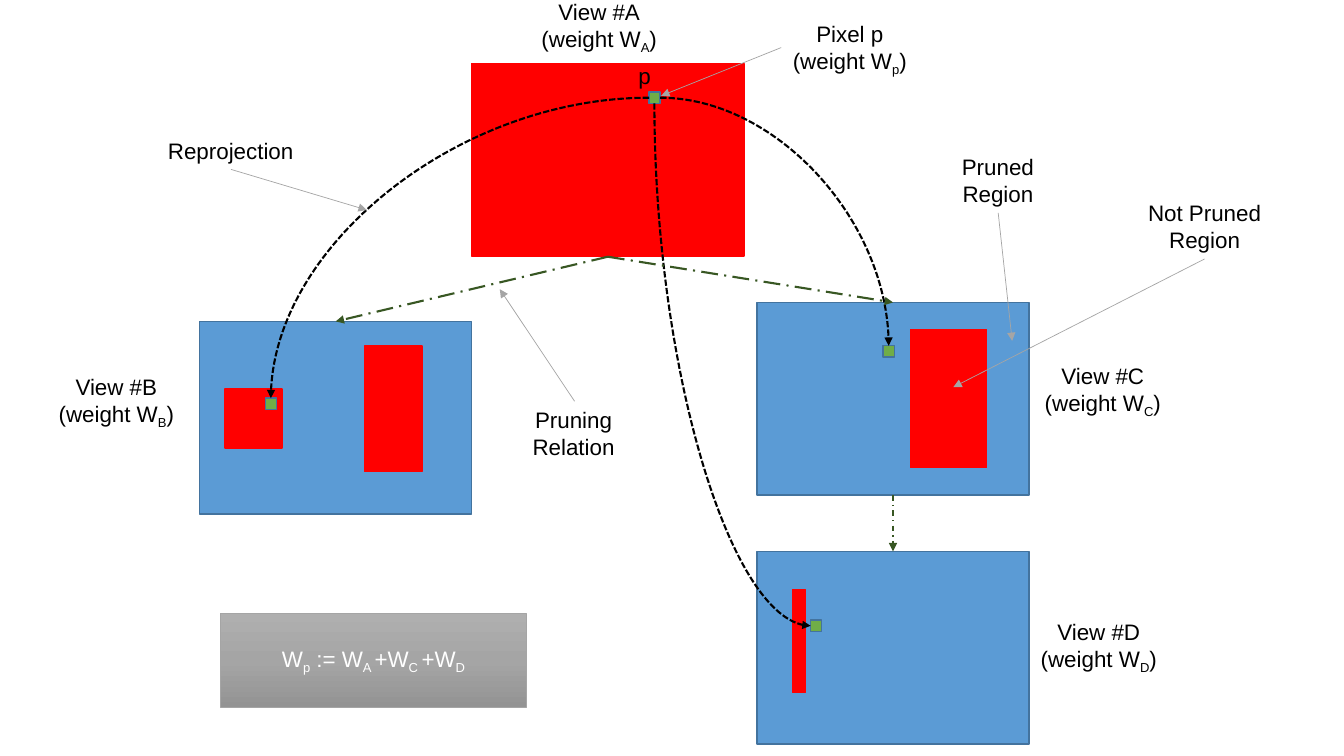
from copy import deepcopy
from lxml import etree
from pptx import Presentation
from pptx.dml.color import RGBColor
from pptx.enum.dml import MSO_LINE
from pptx.enum.shapes import MSO_CONNECTOR, MSO_SHAPE
from pptx.enum.text import MSO_ANCHOR, MSO_AUTO_SIZE, PP_ALIGN
from pptx.oxml.ns import qn
from pptx.util import Pt

RECTANGLE = MSO_SHAPE.RECTANGLE
STRAIGHT, CURVE = MSO_CONNECTOR.STRAIGHT, MSO_CONNECTOR.CURVE
SHORT_DASH, DASH_DOT, LONG_DASH_DOT = MSO_LINE.SQUARE_DOT, MSO_LINE.DASH_DOT, MSO_LINE.LONG_DASH_DOT
CENTER, MIDDLE, FIT_SHAPE = PP_ALIGN.CENTER, MSO_ANCHOR.MIDDLE, MSO_AUTO_SIZE.SHAPE_TO_FIT_TEXT

COLORS = {name: RGBColor.from_string(value) for name, value in {
    "kept": "FF0000", "pruned": "5B9BD5", "edge": "43739E", "pixel": "70AD47",
    "black": "000000", "white": "FFFFFF", "gray": "A5A5A5", "relation": "385723",
    "gray top": "AFAFAF", "gray bottom": "939393"}.items()}

deck = Presentation()
deck.slide_width, deck.slide_height = Pt(960), Pt(540)
page = deck.slides.add_slide(deck.slide_layouts[6])


def write(frame, lines, color):
    frame.text = "\n".join(lines).replace("_", "")
    for para, line in zip(frame.paragraphs, lines):
        para.text = ""
        para.alignment = CENTER
        for index, part in enumerate(line.split("_")):
            if part:
                span = para.add_run()
                span.text = part
                span.font.name, span.font.size = "Arial", Pt(16)
                span.font.color.rgb = COLORS[color]
                if index % 2:
                    span.font._element.set("baseline", "-25000")


def connect(kind, start, end, color, width, dash=None):
    line = page.shapes.add_connector(kind, *map(Pt, start + end))
    line.line.color.rgb = COLORS[color]
    line.line.width = Pt(width)
    if dash:
        line.line.dash_style = dash
    properties = line._element.spPr
    etree.SubElement(properties.find(qn("a:ln")), qn("a:tailEnd"), type="triangle")
    etree.SubElement(properties, qn("a:effectLst"))
    return line


VIEW_WIDTH, VIEW_HEIGHT, PIXEL = 194.4, 137.6, 8
views = [(337, 45.4, "kept"), (142.6, 229.6, "pruned"), (540.7, 216, "pruned"), (540.7, 393.8, "pruned")]
kept_regions = [(160.6, 278, 41, 42), (260.6, 247, 41, 90), (650.2, 235.5, 54.7, 98.6), (566, 421.2, 9.4, 73.4)]
pixels = [(467.6, 69.8), (634.8, 251), (583, 447), (193.5, 288.4)]

boxes = [(left, top, VIEW_WIDTH, VIEW_HEIGHT, fill) for left, top, fill in views]
boxes += [region + ("kept",) for region in kept_regions]
boxes += [(x - PIXEL / 2, y - PIXEL / 2, PIXEL, PIXEL, "pixel") for x, y in pixels]
for *area, fill in boxes:
    box = page.shapes.add_shape(RECTANGLE, *map(Pt, area))
    box.shadow.inherit = False
    box.fill.solid()
    box.fill.fore_color.rgb = COLORS[fill]
    box.line.color.rgb = COLORS["kept" if fill == "kept" else "edge"]
    box.line.width = Pt(1)

reprojections = [
    ((463.6, 69.8), (193.5, 284.4), 0),
    ((471.6, 69.8), (634.8, 247), 0),
    ((709.8, 204.6), (336.6, 316.2), 270),
]
for start, end, angle in reprojections:
    curve = connect(CURVE, start, end, "black", 1.5, SHORT_DASH)
    properties = curve._element.spPr
    properties.find(qn("a:prstGeom")).set("prst", "curvedConnector2")
    if angle:
        properties.find(qn("a:xfrm")).set("rot", str(angle * 60000))

root = (434.2, 183.4)
relations = [
    (root, (637.9, 216), 1.5, LONG_DASH_DOT),
    (root, (239.8, 229.6), 1.5, LONG_DASH_DOT),
    ((637.9, 353.6), (637.9, 393.8), 1, DASH_DOT),
]
for start, end, width, dash in relations:
    connect(STRAIGHT, start, end, "relation", width, dash)

pointers = [
    ((713, 152), (723, 243.5)),
    ((860.4, 185), (681, 276.5)),
    ((410.4, 286.6), (357, 206.6)),
    ((165, 121), (262, 150)),
    ((558, 34), (472.3, 68.4)),
]
for start, end in pointers:
    connect(STRAIGHT, start, end, "gray", 0.5)

labels = [
    (812.2, 139, 96.5, 46, ["Not Pruned", "Region"]),
    (679.7, 105.8, 66.2, 46, ["Pruned", "Region"]),
    (373, 286.6, 73.4, 46, ["Pruning", "Relation"]),
    (112.3, 94.3, 105, 26.6, ["Reprojection"]),
    (738, 254.9, 99.4, 46, ["View #C", "(weight W_C_)"]),
    (378.7, -5, 98.6, 46, ["View #A", "(weight W_A_)"]),
    (33.8, 262.8, 98.6, 46, ["View #B", "(weight W_B_)"]),
    (735.1, 437.8, 99.4, 46, ["View #D", "(weight W_D_)"]),
    (448.6, 41, 23.8, 26.6, ["p"]),
    (558, 10.8, 98, 46, ["Pixel p", "(weight W_p_)"]),
]
for *area, lines in labels:
    label = page.shapes.add_textbox(*map(Pt, area))
    write(label.text_frame, lines, "black")
    label.text_frame.word_wrap = False
    label.text_frame.auto_size = FIT_SHAPE

formula = page.shapes.add_shape(RECTANGLE, Pt(157.7), Pt(437.8), Pt(218.2), Pt(67.7))
formula.shadow.inherit = False
formula.line.color.rgb = COLORS["gray"]
formula.line.width = Pt(0.5)
formula.fill.gradient()
formula.fill.gradient_angle = 270
stop_list = formula._element.spPr.find(qn("a:gradFill")).find(qn("a:gsLst"))
stop_list.append(deepcopy(stop_list[0]))
for stop, position, color in zip(formula.fill.gradient_stops, (0, 0.5, 1), ("gray top", "gray", "gray bottom")):
    stop.position = position
    stop.color.rgb = COLORS[color]
write(formula.text_frame, ["W_p_ := W_A _+W_C _+W_D"], "white")
formula.text_frame.vertical_anchor = MIDDLE

deck.save("out.pptx")
